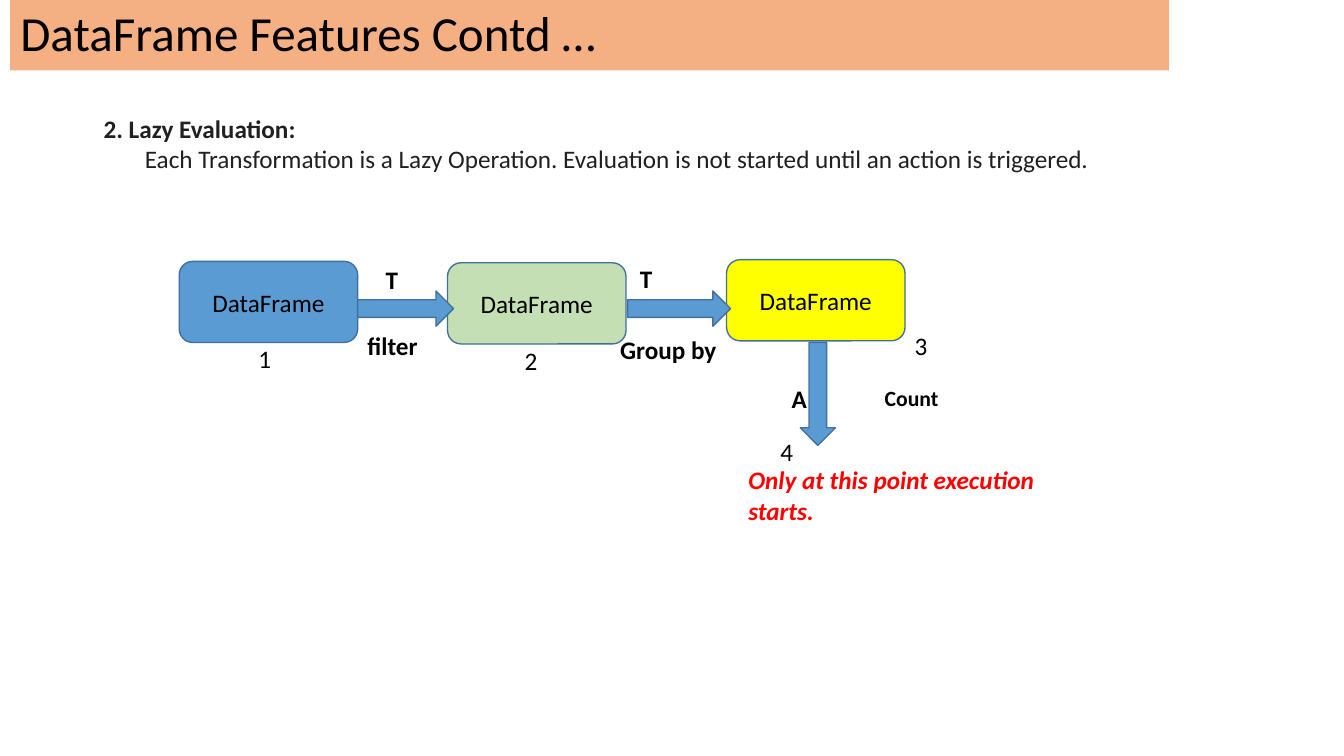
from pptx import Presentation
from pptx.dml.color import RGBColor
from pptx.enum.shapes import MSO_SHAPE
from pptx.enum.text import MSO_ANCHOR, PP_ALIGN
from pptx.util import Pt

deck = Presentation()
deck.slide_width, deck.slide_height = Pt(960), Pt(540)
slide = deck.slides.add_slide(deck.slide_layouts[6])
shapes = slide.shapes
color = RGBColor.from_string


def block(kind, x, y, w, h, fill, line=None):
    shape = shapes.add_shape(kind, Pt(x), Pt(y), Pt(w), Pt(h))
    shape.shadow.inherit = False
    shape.fill.solid()
    shape.fill.fore_color.rgb = color(fill)
    if line:
        shape.line.color.rgb = color(line)
        shape.line.width = Pt(0.96)
    else:
        shape.line.fill.background()
    return shape


def label(x, y, w, h, text, size=18, bold=False, ink="000000"):
    box = shapes.add_textbox(Pt(x), Pt(y), Pt(w), Pt(h))
    frame = box.text_frame
    frame.word_wrap = True
    frame.margin_left = frame.margin_top = Pt(1)
    frame.margin_right = frame.margin_bottom = 0
    frame.text = text
    for para in frame.paragraphs:
        for run in para.runs:
            run.font.name = "Calibri"
            run.font.size = Pt(size)
            run.font.bold = bold
            run.font.color.rgb = color(ink)
    return frame


block(MSO_SHAPE.RECTANGLE, 7.2, 0, 828, 50.4, "F4B083")
title = label(13.5, 0, 420, 44, "DataFrame Features Contd …", 35)
title.vertical_anchor = MSO_ANCHOR.MIDDLE

intro = label(
    73, 80, 740, 45,
    "2. Lazy Evaluation:\nEach Transformation is a Lazy Operation. "
    "Evaluation is not started until an action is triggered.",
    ink="202020",
)
intro.paragraphs[0].runs[0].font.bold = True
intro.paragraphs[1]._p.get_or_add_pPr().set("marL", str(Pt(29.5)))

EDGE = "41709C"
BLUE = "5B9BD4"
for x, y, fill in [(128, 186.7, BLUE), (319.7, 187.7, "C5DFB4"), (519, 185.5, "FFFF00")]:
    node = block(MSO_SHAPE.ROUNDED_RECTANGLE, x, y, 127.5, 58, fill, EDGE)
    frame = node.text_frame
    frame.text = "DataFrame"
    frame.vertical_anchor = MSO_ANCHOR.MIDDLE
    para = frame.paragraphs[0]
    para.alignment = PP_ALIGN.CENTER
    font = para.runs[0].font
    font.name, font.size = "Calibri", Pt(18)
    font.color.rgb = color("000000")

for kind, x, y, w, h in [
    (MSO_SHAPE.RIGHT_ARROW, 255.5, 207.8, 68.5, 25.2),
    (MSO_SHAPE.RIGHT_ARROW, 448.3, 207.8, 73.5, 25.2),
    (MSO_SHAPE.DOWN_ARROW, 571.6, 244.6, 25.2, 73.6),
]:
    block(kind, x, y, w, h, BLUE, EDGE)

for x, y, w, text in [
    (274.5, 188, 14, "T"),
    (456, 187.3, 14, "T"),
    (261.5, 234.8, 42, "filter"),
    (442, 237.7, 76, "Group by"),
    (564.5, 272.5, 16, "A"),
]:
    label(x, y, w, 24, text, bold=True)
label(631, 274, 44, 21, "Count", 15.5, True)

for x, y, text in [(183.6, 244.2, "1"), (373.7, 245.6, "2"), (652.3, 235, "3"), (556.5, 311, "4")]:
    label(x, y, 14, 24, text)

note = label(533.5, 331, 210, 45, "Only at this point execution starts.", 18, True, "FF0000")
note.paragraphs[0].runs[0].font.italic = True

deck.save("out.pptx")
